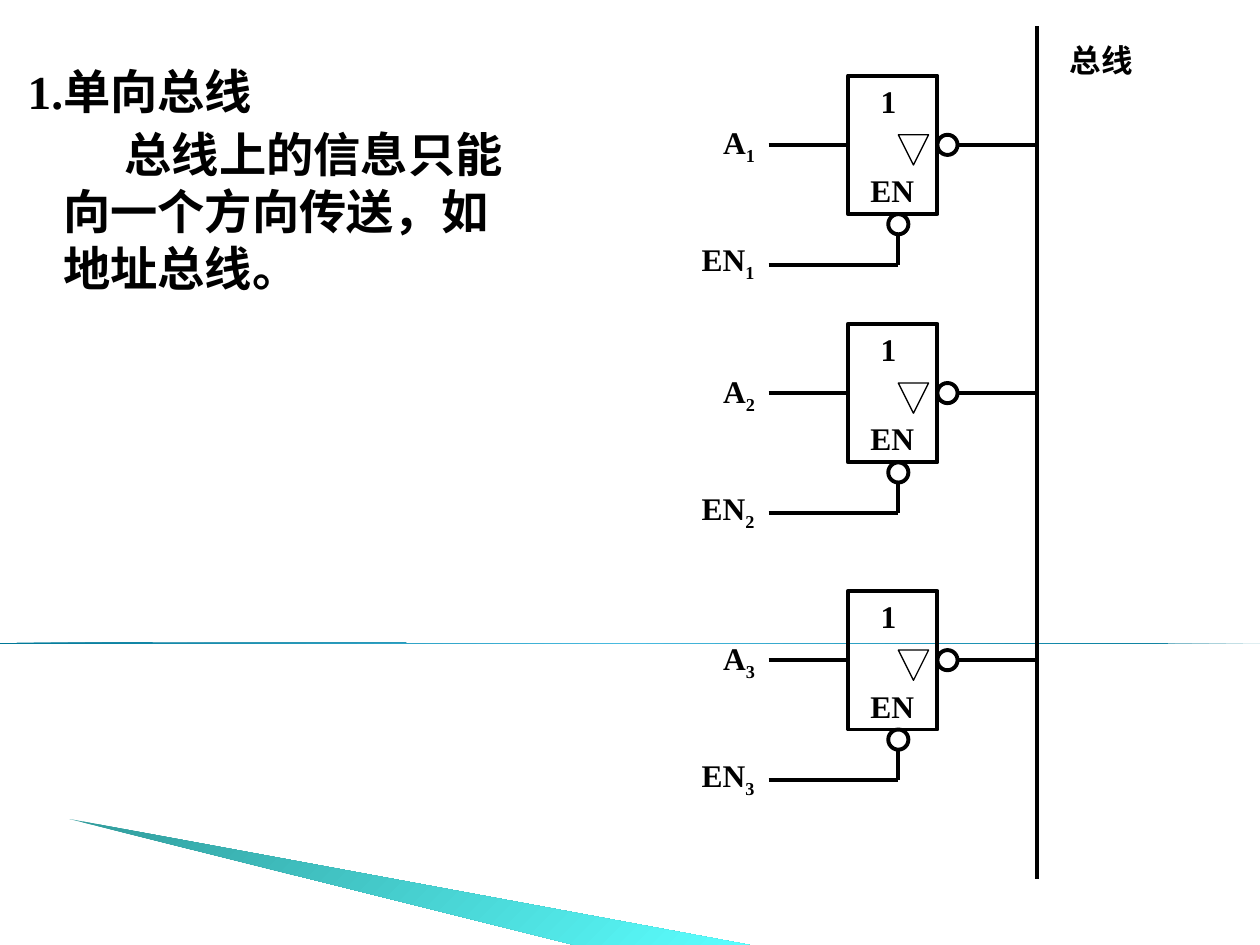
from lxml.etree import SubElement
from pptx import Presentation
from pptx.dml.color import RGBColor
from pptx.enum.shapes import MSO_CONNECTOR, MSO_SHAPE as SHAPE
from pptx.enum.text import MSO_ANCHOR
from pptx.oxml import parse_xml
from pptx.oxml.ns import nsdecls, qn
from pptx.util import Inches, Pt

BLACK = RGBColor(0, 0, 0)
TEAL_DARK, TEAL_LIGHT = RGBColor(0x31, 0x9C, 0x9C), RGBColor(0x5B, 0xFF, 0xFF)
BLUE_DARK, BLUE_LIGHT = RGBColor(0, 0x78, 0x97), RGBColor(0x4A, 0xBB, 0xE0)
FONT = "Times New Roman"

HEADING = "1.单向总线"
BODY = "总线上的信息只能向一个方向传送，如地址总线。"
BUS_LABEL = "总线"
GATES = [("1", 0.6), ("2", 2.57), ("3", 4.69)]  # subscript, top

WIDTH, HEIGHT = 10, 7.5
GATE_X, GATE_W, GATE_H = 6.73, 0.71, 1.1
WIRE_X, BUS_X = 6.1, 8.23
BUBBLE = 0.16
ENABLE_X = 7.13


def write(p, text, size=18, sub=""):
    """Put bold text in a paragraph, with an optional subscript."""
    for part in filter(None, (text, sub)):
        r = p.add_run()
        r.text = part
        f = r.font
        f.name, f.size, f.bold = FONT, Pt(size), True
        f.color.rgb = BLACK
        if part is sub:
            f._element.set("baseline", "-25000")


def add_label(shapes, text, x, y, w, h=0.4, sub="", wrap=True, spacing=None):
    tf = shapes.add_textbox(*map(Inches, (x, y, w, h))).text_frame
    tf.word_wrap = wrap
    p = tf.paragraphs[0]
    p.line_spacing = spacing
    write(p, text, sub=sub)


def add_outline(shapes, kind, x, y, w, h, weight=2.25):
    sp = shapes.add_shape(kind, *map(Inches, (x, y, w, h)))
    sp.shadow.inherit = False
    sp.fill.background()
    sp.line.color.rgb = BLACK
    sp.line.width = Pt(weight)
    return sp


def add_line(shapes, x1, y1, x2, y2):
    line = shapes.add_connector(MSO_CONNECTOR.STRAIGHT, *map(Inches, (x1, y1, x2, y2)))
    line.line.color.rgb = BLACK
    line.line.width = Pt(2.25)
    SubElement(line._element.spPr, qn("a:effectLst"))
    return line


def fill_gradient(sp, colors, angle):
    """Spread the colours evenly over a linear gradient, without outline."""
    sp.shadow.inherit = False
    sp.line.fill.background()
    stops = "".join(
        f'<a:gs pos="{100000 * i // (len(colors) - 1)}"><a:srgbClr val="{c}"/></a:gs>'
        for i, c in enumerate(colors))
    grad = parse_xml(f'<a:gradFill {nsdecls("a")}><a:gsLst>{stops}</a:gsLst>'
                     f'<a:lin ang="{angle * 60000}" scaled="0"/></a:gradFill>')
    sp._element.spPr.find(qn("a:ln")).addprevious(grad)


def add_background(shapes):
    rule = shapes.add_shape(SHAPE.RIGHT_TRIANGLE, 0, Inches(5.1), Inches(WIDTH), Inches(0.01))
    fill_gradient(rule, [BLUE_DARK, BLUE_LIGHT, BLUE_DARK], 50)
    fb = shapes.build_freeform(Inches(0.55), Inches(6.5))
    fb.add_line_segments([(Inches(x), Inches(HEIGHT)) for x in (5.95, 4.56)])
    fill_gradient(fb.convert_to_shape(), [TEAL_DARK, TEAL_LIGHT], 45)


def add_body(slide):
    slide.shapes.title._element.getparent().remove(slide.shapes.title._element)
    body = slide.placeholders[1]
    body.left, body.top, body.width, body.height = map(Inches, (0, 0.44, 4.29, 3.16))
    tf = body.text_frame
    tf.vertical_anchor = MSO_ANCHOR.TOP
    for i, (text, indent) in enumerate([(HEADING, -0.28), (BODY, 0.49)]):
        p = tf.add_paragraph() if i else tf.paragraphs[0]
        p.space_before = Pt(4 * i)
        pPr = p._p.get_or_add_pPr()
        pPr.set("marL", str(Inches(0.4)))
        pPr.set("indent", str(Inches(indent)))
        SubElement(pPr, qn("a:buNone"))
        write(p, text, size=27)


def add_gate(shapes, number, top):
    mid, bottom, right = top + GATE_H / 2, top + GATE_H, GATE_X + GATE_W
    enable_y = bottom + 0.4
    box = add_outline(shapes, SHAPE.RECTANGLE, GATE_X, top, GATE_W, GATE_H)
    add_label(shapes, "1", 6.89, top, 0.39)
    add_label(shapes, "A", 5.64, top + 0.28, 0.45, 0.49, sub=number, wrap=False, spacing=1.15)
    triangle = add_outline(shapes, SHAPE.ISOSCELES_TRIANGLE, ENABLE_X, top + 0.47, 0.24, 0.24, 0.75)
    triangle._element.spPr.xfrm.set("flipV", "1")
    add_outline(shapes, SHAPE.OVAL, right, mid - BUBBLE / 2, BUBBLE, BUBBLE)
    add_line(shapes, right + BUBBLE, mid, BUS_X, mid)
    add_line(shapes, WIRE_X, mid, GATE_X, mid).end_connect(box, 1)
    add_outline(shapes, SHAPE.OVAL, ENABLE_X - BUBBLE / 2, bottom, BUBBLE, BUBBLE)
    add_line(shapes, ENABLE_X, bottom + BUBBLE, ENABLE_X, enable_y)
    add_label(shapes, "EN", 6.81, top + 0.71, 0.55)
    add_label(shapes, "EN", 5.47, bottom + BUBBLE, 0.87, 0.44, sub=number)
    add_line(shapes, WIRE_X, enable_y, ENABLE_X, enable_y)


def main():
    prs = Presentation()
    prs.slide_width, prs.slide_height = Inches(WIDTH), Inches(HEIGHT)
    slide = prs.slides.add_slide(prs.slide_layouts[1])
    add_background(slide.shapes)
    add_body(slide)
    circuit = slide.shapes.add_group_shape().shapes
    for number, top in GATES:
        add_gate(circuit, number, top)
    add_line(circuit, BUS_X, 0.21, BUS_X, 6.98)
    add_label(circuit, BUS_LABEL, 8.39, 0.28, 1.02)
    prs.save("out.pptx")


if __name__ == "__main__":
    main()
